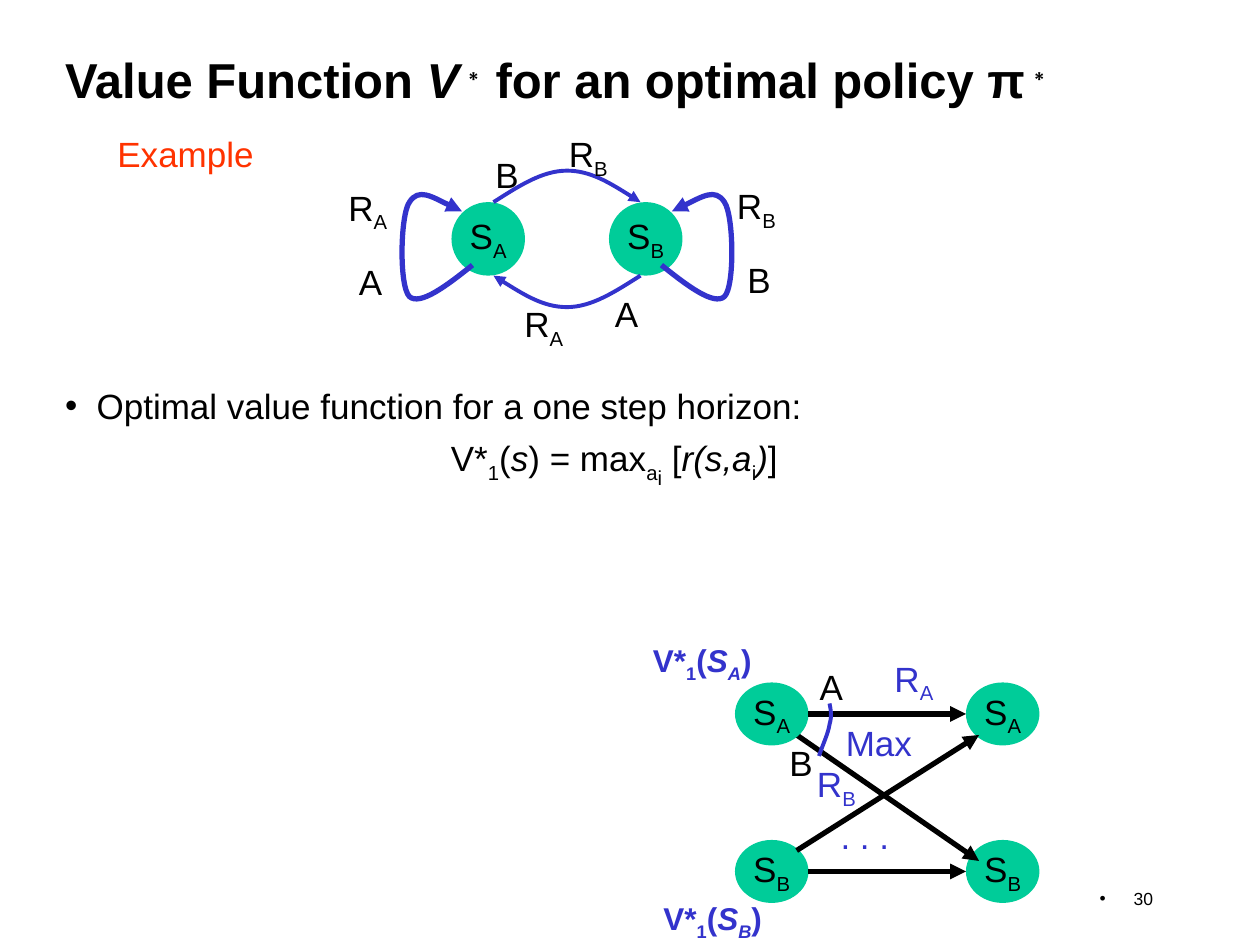
from lxml import etree
from pptx import Presentation
from pptx import util as u
from pptx.dml.color import RGBColor
from pptx.enum import shapes, text
from pptx.oxml import ns

PX = 9525  # EMU per px, 96 px to the inch
BLACK = RGBColor(0x00, 0x00, 0x00)
BLUE = RGBColor(0x33, 0x33, 0xCC)
GREEN = RGBColor(0x00, 0xCC, 0x99)
RED = RGBColor(0xFF, 0x33, 0x00)
SUB, SUP = -25, 30


def px(*values):
    return [u.Emu(round(v * PX)) for v in values]


def put_runs(p, runs, color=BLACK, size=20, bold=False):
    """Each run is a string or (text, baseline percent, italic)."""
    for item in runs:
        words, base, italic = (item, 0, False) if isinstance(item, str) else item
        r = p.add_run()
        r.text = words
        fmt = {"name": "Arial", "size": u.Pt(size), "bold": bold, "italic": italic}
        for key, value in fmt.items():
            setattr(r.font, key, value)
        r.font.color.rgb = color
        if base:
            r.font._element.set("baseline", str(base * 1000))


def put_bullet(p, indent):
    pPr = p._p.get_or_add_pPr()
    pPr.set("marL", str(indent * PX))
    pPr.set("indent", str(-indent * PX))
    etree.SubElement(pPr, ns.qn("a:buFont")).set("typeface", "Arial")
    etree.SubElement(pPr, ns.qn("a:buChar")).set("char", "•")


def place(sp, box):
    for key, value in zip(("left", "top", "width", "height"), px(*box)):
        setattr(sp, key, value)


def fill_placeholder(sp, box, runs, anchor, indent=0, **style):
    place(sp, box)
    tf = sp.text_frame
    fmt = {"auto_size": text.MSO_AUTO_SIZE.NONE, "word_wrap": True,
           "vertical_anchor": anchor}
    for key, value in fmt.items():
        setattr(tf, key, value)
    p = tf.paragraphs[0]
    if indent:
        put_bullet(p, indent)
    p.alignment = text.PP_ALIGN.LEFT
    p.space_before = u.Pt(0)
    put_runs(p, runs, **style)


def add_text(s, box, runs, wrap=False, align=text.PP_ALIGN.LEFT, indent=0, **style):
    tf = s.shapes.add_textbox(*px(*box)).text_frame
    tf.word_wrap = wrap
    p = tf.paragraphs[0]
    if indent:
        put_bullet(p, indent)
    p.alignment = align
    put_runs(p, runs, **style)


def add_label(s, x, y, letter, sub="", color=BLACK):
    """Action letter, or a reward symbol with its subscript."""
    runs = [letter] + ([(sub, SUB, False)] if sub else [])
    add_text(s, (x, y, 50 if sub else 37, 41), runs, color=color)


def add_state(s, x, y, height, name):
    sp = s.shapes.add_shape(shapes.MSO_SHAPE.OVAL, *px(x, y, 56, height))
    sp.shadow.inherit = False
    sp.fill.solid()
    sp.fill.fore_color.rgb = GREEN
    sp.line.fill.background()
    tf = sp.text_frame
    tf.word_wrap = False
    tf.vertical_anchor = text.MSO_ANCHOR.MIDDLE
    p = tf.paragraphs[0]
    p.alignment = text.PP_ALIGN.CENTER
    put_runs(p, ["S", (name, SUB, False)])


def style_line(sp, color, width, arrow=True):
    sp.line.color.rgb = color
    sp.line.width = u.Pt(width)
    if arrow:
        etree.SubElement(sp.line._get_or_add_ln(), ns.qn("a:tailEnd")).set("type", "triangle")


def add_arrow(s, start, end):
    c = s.shapes.add_connector(shapes.MSO_CONNECTOR.STRAIGHT, *px(*start, *end))
    style_line(c, BLACK, 3)
    etree.SubElement(c._element.spPr, ns.qn("a:effectLst"))


def add_curve(s, points, width, arrow=True):
    """Start point, then three control points for each Bezier segment."""
    fb = s.shapes.build_freeform(*points[0], scale=PX)
    fb.add_line_segments(points[1:], close=False)
    sp = fb.convert_to_shape()
    sp.shadow.inherit = False
    sp.fill.background()
    style_line(sp, BLUE, width, arrow)
    # Gather each three line segments into one cubic curve
    lines = list(sp._element.iter(ns.qn("a:lnTo")))
    for i in range(0, len(lines), 3):
        curve = etree.Element(ns.qn("a:cubicBezTo"))
        lines[i].addprevious(curve)
        for line in lines[i:i + 3]:
            curve.append(line[0])
            line.getparent().remove(line)


def add_state_diagram(s):
    for x, name in ((344, "A"), (464, "B")):
        add_state(s, x, 154, 56, name)

    # The lower arc is the upper one turned half round; the loops mirror each other
    arc = [(376, 154), (395, 142), (413, 130), (432, 130),
           (450, 130), (469, 142), (488, 154)]
    loop = [(360, 202), (340, 218), (320, 233), (312, 226), (304, 218),
            (305, 164), (312, 154), (319, 143), (335, 153), (352, 161)]
    add_curve(s, arc, 2.25)
    add_curve(s, [(864 - x, 364 - y) for x, y in arc], 2.25)
    add_curve(s, loop, 3)
    add_curve(s, [(864 - x, y) for x, y in loop], 3)

    for label in ((368, 112, "B"), (459, 218, "A"), (390, 226, "R", "A"),
                  (424, 96, "R", "B"), (264, 194, "A"), (256, 137, "R", "A"),
                  (560, 192, "B"), (552, 136, "R", "B")):
        add_label(s, *label)


def add_backup_diagram(s):
    left, right = 560, 736
    rows = (("A", 520), ("B", 640))
    for name, y in rows:
        add_state(s, right, y, 48, name)
    add_arrow(s, (607, 560), (746, 656))
    for name, y in rows:
        add_state(s, left, y, 48, name)
        add_arrow(s, (left + 56, y + 24), (right, y + 24))
    add_arrow(s, (607, 648), (746, 560))

    # Choice between the two actions
    add_curve(s, [(632, 536), (633, 541), (634, 545), (632, 552),
                  (631, 559), (627, 567), (624, 576)], 2.25, arrow=False)
    add_text(s, (635, 545, 70, 41), ["Max"], color=BLUE)
    add_label(s, 615, 502, "A")
    add_label(s, 592, 560, "B")
    add_label(s, 672, 496, "R", "A", BLUE)
    add_label(s, 613, 576, "R", "B", BLUE)
    add_text(s, (631, 616, 56, 41), [". . ."], color=BLUE)

    # State values
    for x, y, name in ((488, 484, "A"), (496, 680, "B")):
        runs = ["V*", ("1", SUB, False), "(", ("S", 0, True), (name, SUB, True), ")"]
        add_text(s, (x, y, 97, 38), runs, color=BLUE, size=18, bold=True)


def main():
    prs = Presentation()
    prs.slide_width, prs.slide_height = px(960, 720)
    s = prs.slides.add_slide(prs.slide_layouts[1])

    # Title and body
    fill_placeholder(
        s.shapes.title, (40, 16, 816, 88),
        ["Value Function ", ("V", 0, True), ("∗ ", SUP, False),
         "for an optimal policy π", ("∗", SUP, False)],
        text.MSO_ANCHOR.MIDDLE, size=28, bold=True)
    fill_placeholder(
        s.placeholders[1], (40, 288, 888, 48),
        ["Optimal value function for a one step horizon:"],
        text.MSO_ANCHOR.TOP, indent=24)

    # Diagrams
    add_state_diagram(s)
    add_backup_diagram(s)

    # Formula, heading of the example, page number
    add_text(s, (24, 328, 888, 80),
             ["V*", ("1", SUB, False), "(", ("s", 0, True), ") = max",
              ("a", SUB, False), ("i", -40, False), " [", ("r(s,a", 0, True),
              ("i", SUB, False), (")", 0, True), "]"],
             wrap=True, align=text.PP_ALIGN.CENTER)
    add_text(s, (80, 96, 123, 41), ["Example"], color=RED)
    add_text(s, (656, 672, 232, 32), ["30"], wrap=True,
             align=text.PP_ALIGN.RIGHT, indent=26, size=10)

    prs.save("out.pptx")


if __name__ == "__main__":
    main()
